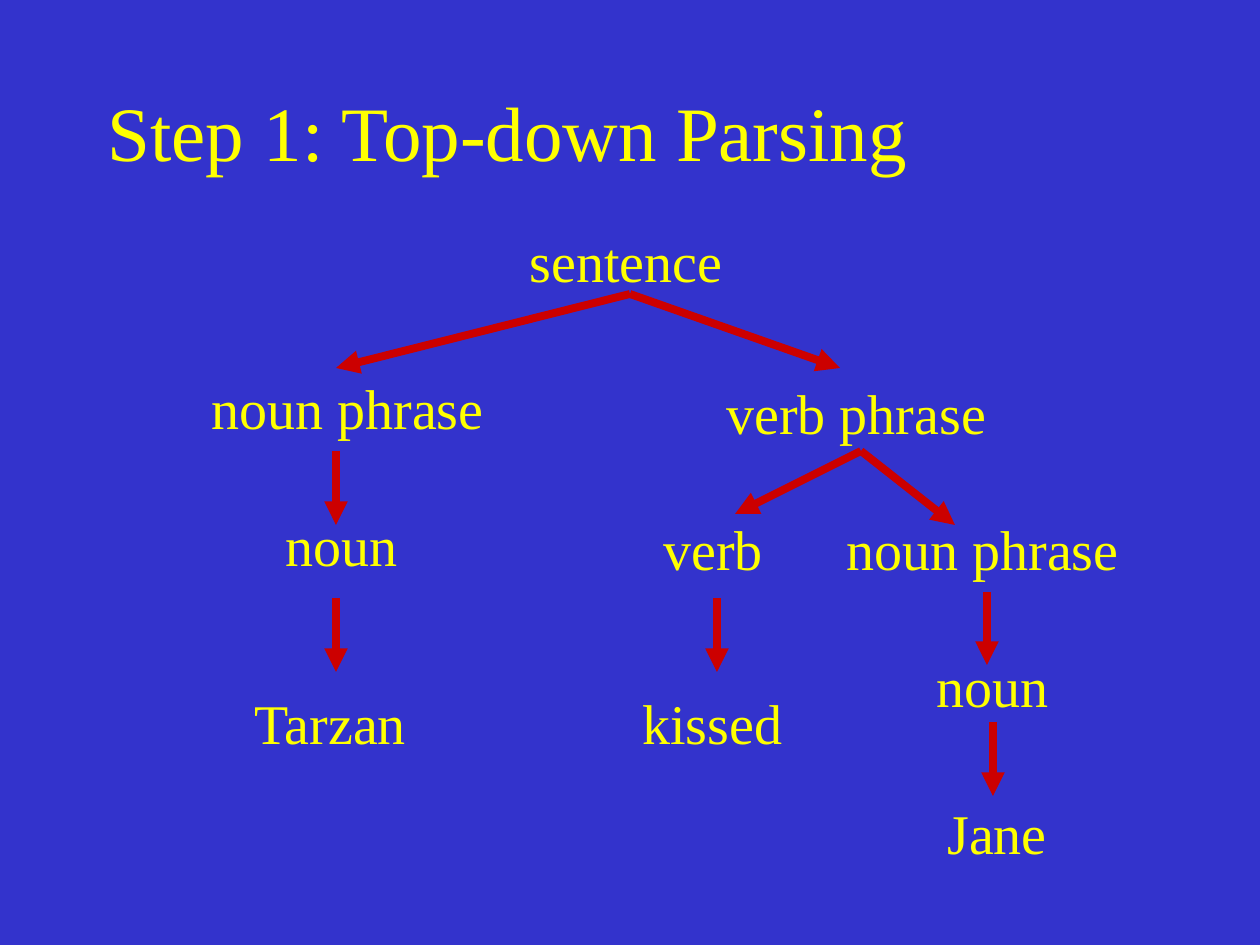
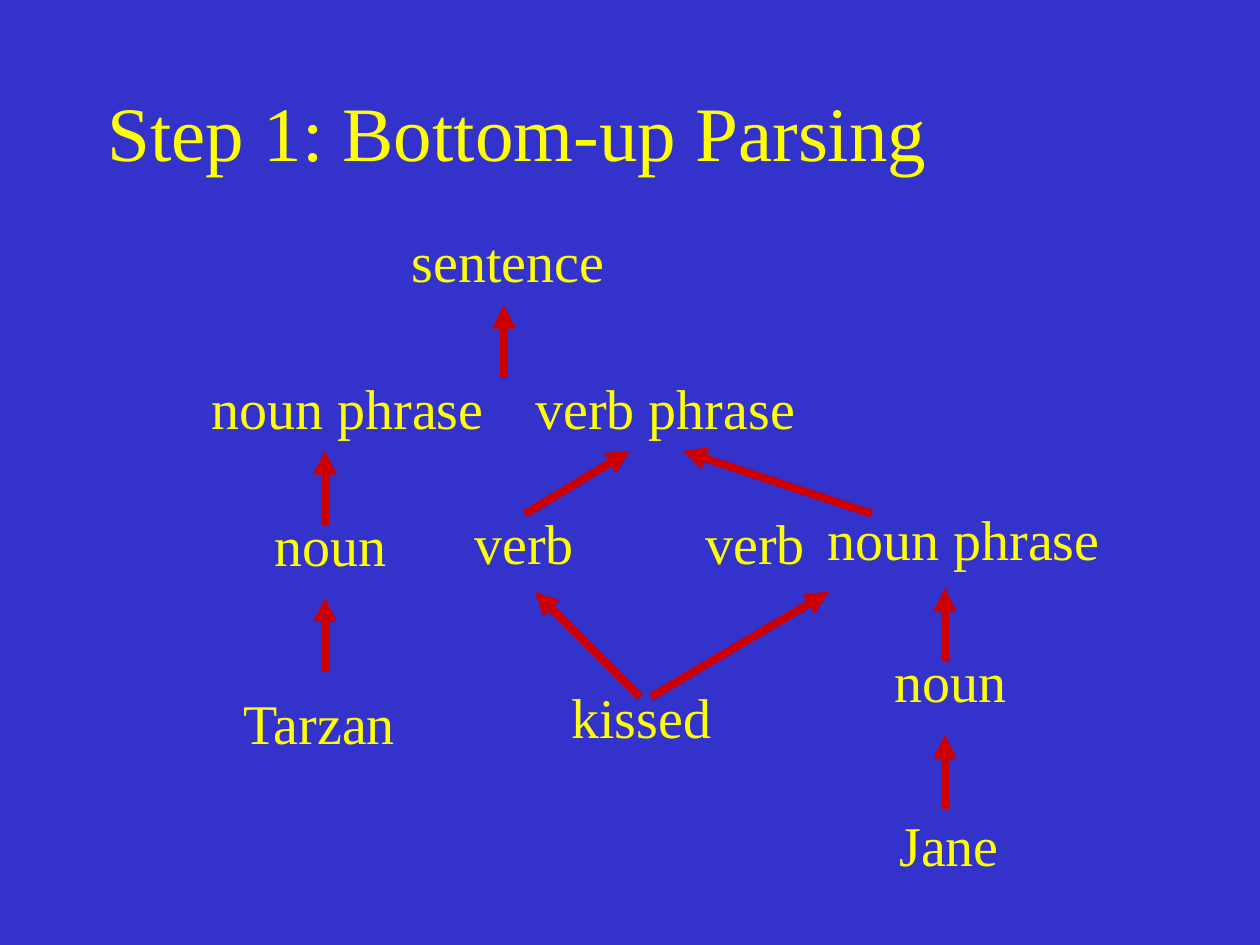
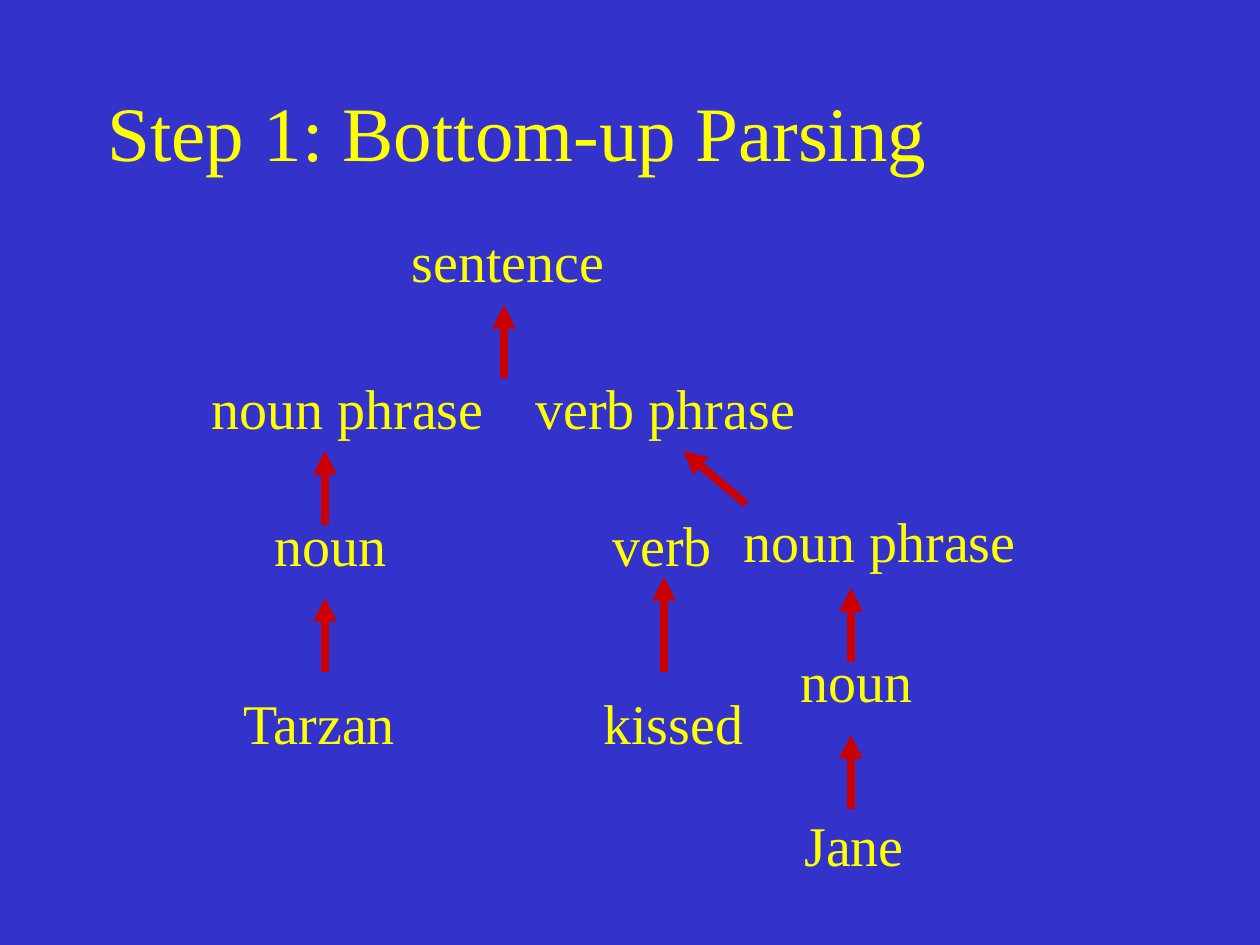
from pptx import Presentation
from pptx.dml.color import RGBColor
from pptx.enum.shapes import MSO_CONNECTOR
from pptx.enum.text import MSO_ANCHOR, MSO_AUTO_SIZE, PP_ALIGN
from pptx.oxml.ns import qn
from pptx.util import Pt
from lxml import etree

PX = 914400 // 126
COLORS = {"background": "3333CC", "text": "FFFF00", "arrow": "CC0000"}
FONT = "Times New Roman"
WORD_HEIGHT = 81
WORD_WIDTHS = {
    "sentence": 220, "noun phrase": 302, "verb phrase": 288, "noun": 140,
    "verb": 127, "Tarzan": 182, "kissed": 167, "Jane": 127,
}

BOTTOM_UP_WORDS = [
    ("sentence", 399, 220), ("noun phrase", 199, 367), ("verb phrase", 523, 367),
    ("noun", 262, 504), ("Tarzan", 231, 682),
]
BOTTOM_UP_ARROWS = [
    (504, 378, 504, 305), (325, 525, 325, 451), (325, 672, 325, 598),
]

TREES = [
    (
        "Step 1: Top-down Parsing",
        [
            ("sentence", 517, 220), ("noun phrase", 199, 367), ("verb phrase", 714, 372),
            ("noun", 273, 504), ("verb", 651, 508), ("noun phrase", 834, 508),
            ("Tarzan", 242, 682), ("kissed", 630, 682), ("noun", 924, 645),
            ("Jane", 935, 792),
        ],
        [
            (630, 294, 336, 368), (630, 294, 840, 368),
            (336, 451, 336, 525), (861, 451, 735, 514), (861, 451, 955, 525),
            (336, 598, 336, 672), (717, 598, 717, 672), (987, 592, 987, 665),
            (993, 722, 993, 796),
        ],
    ),
    (
        "Step 1: Bottom-up Parsing",
        BOTTOM_UP_WORDS + [
            ("verb", 462, 502), ("verb", 693, 502), ("noun phrase", 815, 498),
            ("kissed", 559, 676), ("noun", 882, 640), ("Jane", 887, 804),
        ],
        BOTTOM_UP_ARROWS + [
            (525, 514, 630, 451), (872, 514, 683, 451),
            (640, 697, 535, 592), (651, 697, 829, 592),
            (945, 662, 945, 588), (945, 809, 945, 735),
        ],
    ),
    (
        "Step 1: Bottom-up Parsing",
        BOTTOM_UP_WORDS + [
            ("verb", 600, 504), ("noun phrase", 731, 500),
            ("kissed", 591, 682), ("noun", 788, 640), ("Jane", 792, 804),
        ],
        BOTTOM_UP_ARROWS + [
            (746, 504, 683, 451), (664, 672, 664, 577),
            (851, 662, 851, 588), (851, 809, 851, 735),
        ],
    ),
]


def write(frame, text, size):
    frame.text = text
    para = frame.paragraphs[0]
    para.alignment = PP_ALIGN.LEFT
    para.font.name = FONT
    para.font.size = Pt(size)
    para.font.color.rgb = RGBColor.from_string(COLORS["text"])


def add_arrow(page, ends):
    arrow = page.shapes.add_connector(MSO_CONNECTOR.STRAIGHT, *[end * PX for end in ends])
    arrow.line.color.rgb = RGBColor.from_string(COLORS["arrow"])
    arrow.line.width = Pt(4.5)
    properties = arrow._element.spPr
    etree.SubElement(properties.find(qn("a:ln")), qn("a:tailEnd"), type="triangle")
    etree.SubElement(properties, qn("a:effectLst"))


deck = Presentation()
deck.slide_width = 1260 * PX
deck.slide_height = 945 * PX
background = deck.slide_master.background.fill
background.solid()
background.fore_color.rgb = RGBColor.from_string(COLORS["background"])

for heading, words, arrows in TREES:
    page = deck.slides.add_slide(deck.slide_layouts[5])
    title = page.shapes.title
    title.left, title.top, title.width, title.height = [n * PX for n in (95, 52, 1071, 157)]
    title.text_frame.vertical_anchor = MSO_ANCHOR.MIDDLE
    write(title.text_frame, heading, 44)

    for word, left, top in words:
        box = page.shapes.add_textbox(
            left * PX, top * PX, WORD_WIDTHS[word] * PX, WORD_HEIGHT * PX
        )
        box.text_frame.word_wrap = False
        box.text_frame.auto_size = MSO_AUTO_SIZE.SHAPE_TO_FIT_TEXT
        write(box.text_frame, word, 32)

    for ends in arrows:
        add_arrow(page, ends)

deck.save("out.pptx")
